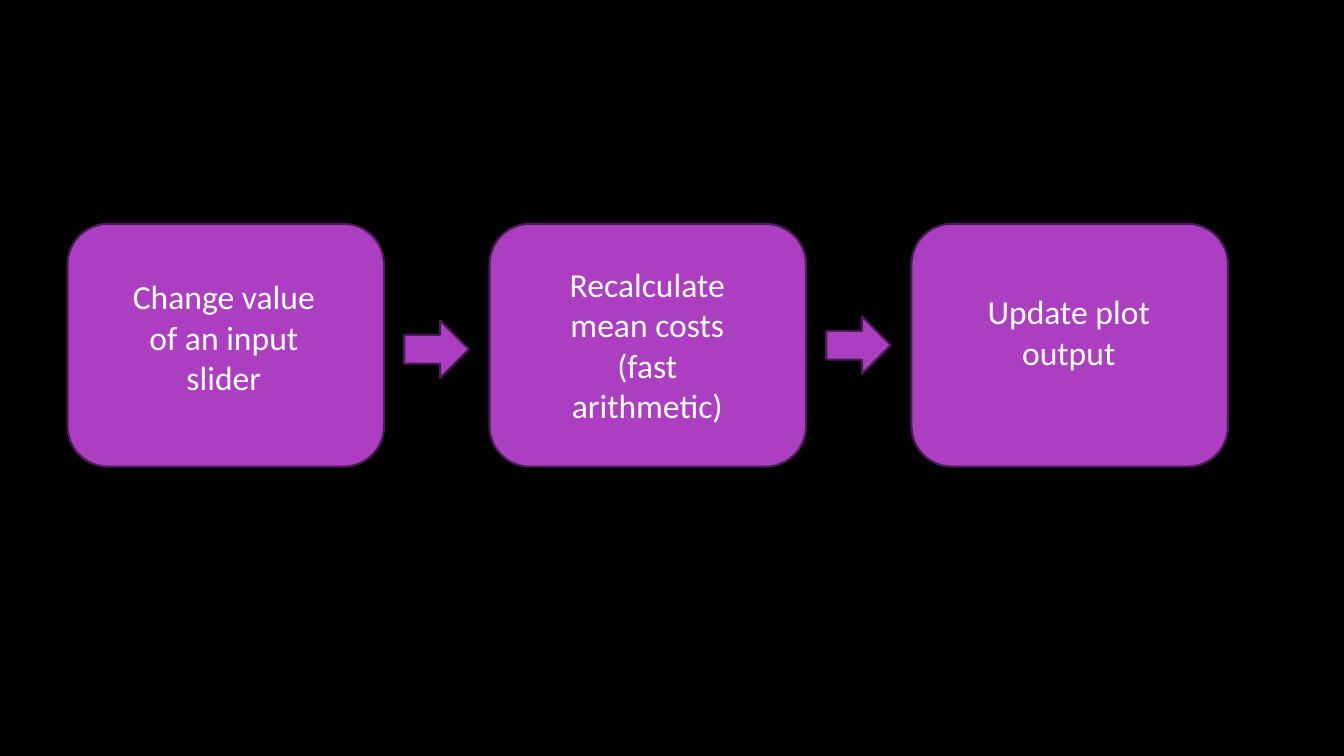
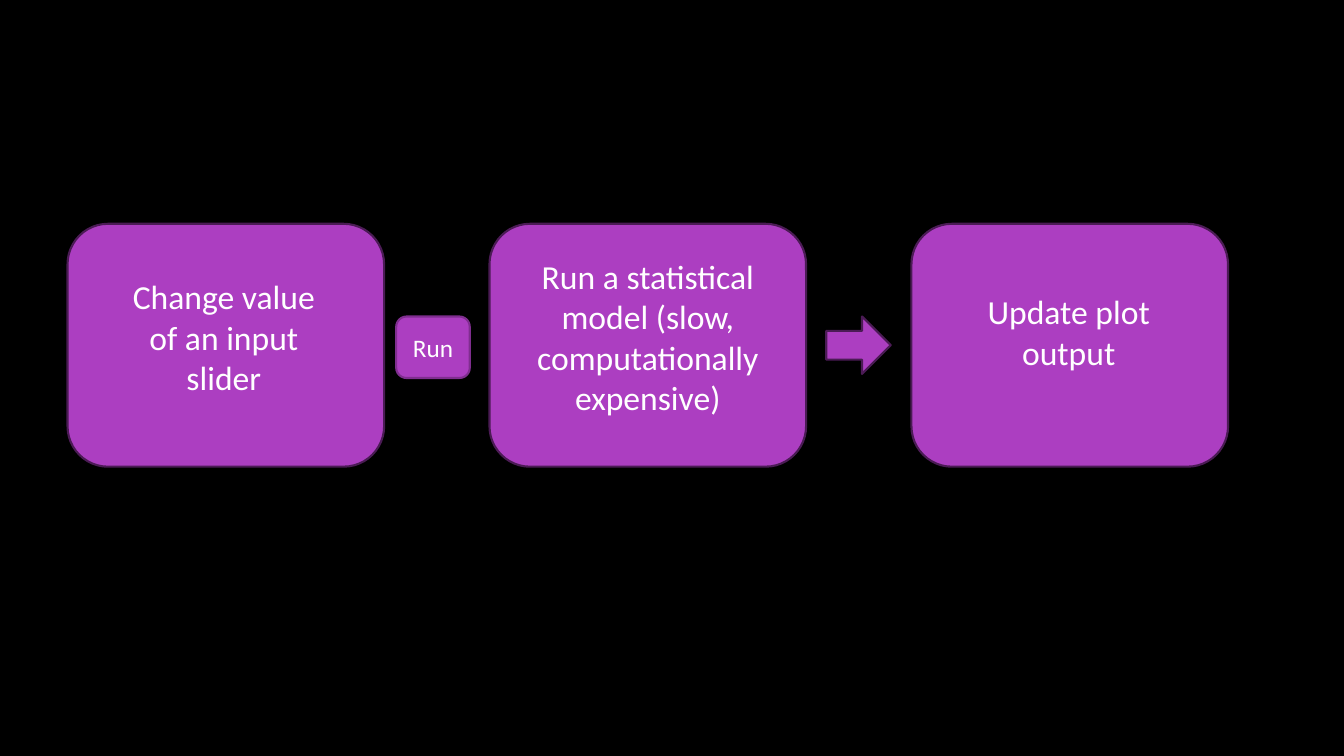
"""Build two slides that compare a fast and a slow slider-to-plot workflow."""
from dataclasses import dataclass

from pptx import Presentation
from pptx import util as u
from pptx.dml.color import RGBColor
from pptx.enum import shapes, text

BLACK = RGBColor(0x00, 0x00, 0x00)
WHITE = RGBColor(0xFF, 0xFF, 0xFF)
PURPLE = RGBColor(0xAC, 0x3E, 0xC1)
DARK_EDGE = RGBColor(0x4B, 0x1B, 0x55)
BUTTON_EDGE = RGBColor(0x7F, 0x2E, 0x8F)
FONT = "Calibri"

SLIDE_WIDTH, SLIDE_HEIGHT = 13.33, 7.5
FIRST_LEFT, LAST_LEFT = 0.67, 9.04
PITCH = (LAST_LEFT - FIRST_LEFT) / 2
STEP_TOP, STEP_WIDTH, STEP_HEIGHT = 2.22, 3.14, 2.41
ARROW_OFFSET, ARROW_WIDTH, ARROW_HEIGHT = 3.34, 0.64, 0.57


@dataclass(frozen=True)
class Area:
    left: float
    top: float
    width: float
    height: float

    def emu(self) -> tuple:
        return tuple(u.Inches(v) for v in (self.left, self.top, self.width, self.height))


@dataclass(frozen=True)
class Step:
    """A workflow step, with its label placed relative to the step's corner."""
    label: str
    label_area: Area


@dataclass(frozen=True)
class Arrow:
    column: int
    top: float


@dataclass(frozen=True)
class Button:
    label: str
    area: Area


CHANGE = Step("Change value of an input slider", Area(0.38, 0.47, 2.34, 1.31))
RECALCULATE = Step("Recalculate mean costs (fast arithmetic)", Area(0.46, 0.35, 2.21, 1.72))
RUN_MODEL = Step("Run a statistical model (slow, computationally expensive)",
                 Area(0.36, 0.27, 2.42, 1.72))
UPDATE = Step("Update plot output", Area(0.44, 0.62, 2.24, 0.91))
TO_MIDDLE = Arrow(0, 3.18)
TO_UPDATE = Arrow(1, 3.14)
RUN = Button("Run", Area(3.93, 3.14, 0.73, 0.61))

WORKFLOWS = (
    ((CHANGE, RECALCULATE, UPDATE), (TO_MIDDLE, TO_UPDATE), ()),
    ((CHANGE, RUN_MODEL, UPDATE), (TO_UPDATE,), (RUN,)),
)


def column_left(column: int) -> float:
    return FIRST_LEFT + column * PITCH


def add_block(page, kind, area: Area, edge: RGBColor = DARK_EDGE):
    block = page.shapes.add_shape(kind, *area.emu())
    block.shadow.inherit = False
    block.fill.solid()
    block.fill.fore_color.rgb = PURPLE
    block.line.color.rgb = edge
    block.line.width = u.Pt(1.5)
    return block


def write_label(shape, label: str, size: int) -> None:
    frame = shape.text_frame
    frame.word_wrap = True
    para = frame.paragraphs[0]
    para.text = label
    para.alignment = text.PP_ALIGN.CENTER
    para.font.name = FONT
    para.font.size = u.Pt(size)
    para.font.color.rgb = WHITE


def add_step(page, step: Step, column: int) -> None:
    left = column_left(column)
    add_block(page, shapes.MSO_SHAPE.ROUNDED_RECTANGLE,
              Area(left, STEP_TOP, STEP_WIDTH, STEP_HEIGHT))
    inset = step.label_area
    box = page.shapes.add_textbox(
        *Area(left + inset.left, STEP_TOP + inset.top, inset.width, inset.height).emu())
    write_label(box, step.label, 24)
    box.text_frame.auto_size = text.MSO_AUTO_SIZE.SHAPE_TO_FIT_TEXT


def add_arrow(page, arrow: Arrow) -> None:
    left = column_left(arrow.column) + ARROW_OFFSET
    add_block(page, shapes.MSO_SHAPE.RIGHT_ARROW,
              Area(left, arrow.top, ARROW_WIDTH, ARROW_HEIGHT))


def add_button(page, button: Button) -> None:
    block = add_block(page, shapes.MSO_SHAPE.ROUNDED_RECTANGLE, button.area, BUTTON_EDGE)
    block.text_frame.vertical_anchor = text.MSO_ANCHOR.MIDDLE
    write_label(block, button.label, 18)


def main() -> None:
    deck = Presentation()
    deck.slide_width = u.Inches(SLIDE_WIDTH)
    deck.slide_height = u.Inches(SLIDE_HEIGHT)
    background = deck.slide_master.background.fill
    background.solid()
    background.fore_color.rgb = BLACK
    blank = deck.slide_layouts.get_by_name("Blank")
    for steps, arrows, buttons in WORKFLOWS:
        page = deck.slides.add_slide(blank)
        for column, step in enumerate(steps):
            add_step(page, step, column)
        for arrow in arrows:
            add_arrow(page, arrow)
        for button in buttons:
            add_button(page, button)
    deck.save("out.pptx")


if __name__ == "__main__":
    main()
